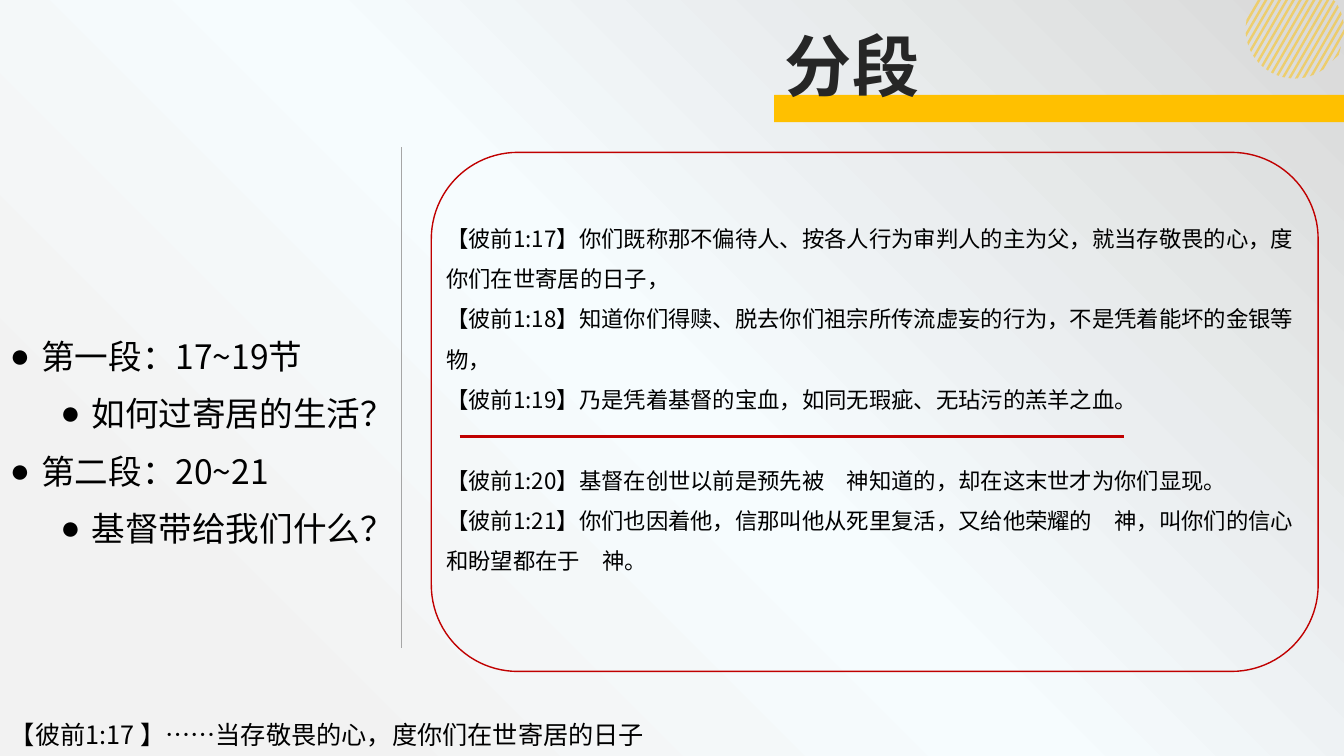
from dataclasses import dataclass
from math import sqrt

from lxml.etree import SubElement
from pptx import Presentation
from pptx.dml.color import RGBColor
from pptx.enum.shapes import MSO_CONNECTOR as Link, MSO_SHAPE as Preset
from pptx.enum.text import MSO_ANCHOR as Anchor
from pptx.oxml import parse_xml
from pptx.oxml.ns import nsdecls, qn
from pptx.util import Cm, Pt

AMBER = RGBColor(0xFF, 0xC0, 0x00)
RED = RGBColor(0xC0, 0x00, 0x00)
GREY = RGBColor(0xA6, 0xA6, 0xA6)
CHARCOAL = RGBColor(0x26, 0x26, 0x26)
BLACK = RGBColor(0x00, 0x00, 0x00)
CHINESE_FONT = "Noto Sans CJK SC"
SLIDE_WIDTH, SLIDE_HEIGHT = 33.87, 19.05


@dataclass
class Line:
    text: str
    level: int = 0
    before: float = 0


@dataclass
class TextBlock:
    left: float
    top: float
    width: float
    height: float
    size: float
    lines: list[Line]
    font: str = CHINESE_FONT
    color: RGBColor = BLACK
    bold: bool = False
    spacing: float = 1.0
    after: float = 0
    bulleted: bool = False
    anchor: Anchor = Anchor.TOP


@dataclass
class Rule:
    start: tuple[float, float]
    end: tuple[float, float]
    color: RGBColor
    weight: float


# Wording
BLOCKS = [
    TextBlock(19.53, 0.48, 5.23, 2.31, 48, [Line("分段")],
              font="Arial", color=CHARCOAL, bold=True),
    TextBlock(0, 8.18, 11.3, 5.77, 24, [
        Line("第一段：17~19节"),
        Line("如何过寄居的生活？", level=1),
        Line("第二段：20~21"),
        Line("基督带给我们什么？", level=1),
    ], spacing=1.15, after=8, bulleted=True),
    TextBlock(11, 5.05, 22.1, 9.7, 16, [
        Line("【彼前1:17】你们既称那不偏待人、按各人行为审判人的主为父，就当存敬畏的心，度你们在世寄居的日子，"),
        Line("【彼前1:18】知道你们得赎、脱去你们祖宗所传流虚妄的行为，不是凭着能坏的金银等物，"),
        Line("【彼前1:19】乃是凭着基督的宝血，如同无瑕疵、无玷污的羔羊之血。"),
        Line("【彼前1:20】基督在创世以前是预先被　神知道的，却在这末世才为你们显现。", before=28.8),
        Line("【彼前1:21】你们也因着他，信那叫他从死里复活，又给他荣耀的　神，叫你们的信心和盼望都在于　神。"),
    ], spacing=1.5, anchor=Anchor.MIDDLE),
    TextBlock(0, 18.01, 33.63, 1.02, 18,
              [Line("【彼前1:17 】……当存敬畏的心，度你们在世寄居的日子")]),
]
RULES = [
    Rule((10.11, 3.71), (10.11, 16.33), GREY, 0.5),
    Rule((11.58, 11), (28.32, 11), RED, 1.5),
]

# Striped disc: slanted bands cut by a circle and by the top edge
DISC_X, DISC_Y, DISC_RADIUS = 32.63, 0.74, 1.24
STRIPE_COUNT, STRIPE_START, STRIPE_PITCH, STRIPE_WIDTH = 17, 31.7, 0.173, 0.07


def paint_background(page) -> None:
    page.background.fill.gradient()
    old = page.element.find(".//" + qn("a:gradFill"))
    new = parse_xml(
        f'<a:gradFill {nsdecls("a")} rotWithShape="1"><a:gsLst>'
        '<a:gs pos="15000"><a:srgbClr val="F2F2F2"/></a:gs>'
        '<a:gs pos="50000"><a:srgbClr val="F6FCFE"><a:alpha val="27000"/></a:srgbClr></a:gs>'
        '<a:gs pos="100000"><a:srgbClr val="D9D9D9"/></a:gs></a:gsLst>'
        '<a:path path="circle"><a:fillToRect t="100000" r="100000"/></a:path></a:gradFill>')
    old.getparent().replace(old, new)


def chord(edge: float) -> tuple[tuple[float, float], tuple[float, float]]:
    """Ends of the 60-degree line that meets the top edge at the given x."""
    cosine, sine = 0.5, sqrt(3) / 2
    distance = (edge - DISC_X) * sine - DISC_Y * cosine
    half = sqrt(max(DISC_RADIUS ** 2 - distance ** 2, 0))
    foot_x, foot_y = DISC_X + distance * sine, DISC_Y + distance * cosine
    upper = (foot_x + half * cosine, foot_y - half * sine)
    lower = (foot_x - half * cosine, foot_y + half * sine)
    return (upper if upper[1] > 0 else (edge, 0)), lower


def add_stripes(page) -> None:
    for index in range(STRIPE_COUNT):
        edge = STRIPE_START + index * STRIPE_PITCH
        left_top, left_bottom = chord(edge)
        right_top, right_bottom = chord(edge + STRIPE_WIDTH)
        corners = [(Cm(x), Cm(y)) for x, y in
                   (left_top, right_top, right_bottom, left_bottom)]
        builder = page.shapes.build_freeform(*corners[0])
        builder.add_line_segments(corners[1:])
        stripe = builder.convert_to_shape()
        stripe.shadow.inherit = False
        stripe.line.fill.background()
        stripe.fill.solid()
        stripe.fill.fore_color.rgb = AMBER
        color = stripe.element.spPr.find(".//" + qn("a:srgbClr"))
        SubElement(color, qn("a:alpha"), val="50000")


def add_panel(page, preset: Preset, left: float, top: float, width: float, height: float):
    panel = page.shapes.add_shape(preset, Cm(left), Cm(top), Cm(width), Cm(height))
    panel.shadow.inherit = False
    return panel


def add_bullet(paragraph, level: int) -> None:
    paragraph.level = level
    properties = paragraph._p.get_or_add_pPr()
    properties.set("marL", str(Cm(0.79 + 1.27 * level)))
    properties.set("indent", str(-Cm(0.79)))
    SubElement(properties, qn("a:buFont"), typeface="Arial")
    SubElement(properties, qn("a:buChar"), char="●")


def add_text(page, block: TextBlock) -> None:
    box = page.shapes.add_textbox(Cm(block.left), Cm(block.top),
                                  Cm(block.width), Cm(block.height))
    frame = box.text_frame
    frame.word_wrap = True
    frame.vertical_anchor = block.anchor
    frame.text = "\n".join(line.text for line in block.lines)
    for paragraph, line in zip(frame.paragraphs, block.lines):
        if block.bulleted:
            add_bullet(paragraph, line.level)
        paragraph.line_spacing = block.spacing
        paragraph.space_before = Pt(line.before)
        paragraph.space_after = Pt(block.after)
        for span in paragraph.runs:
            span.font.size = Pt(block.size)
            span.font.bold = block.bold
            span.font.color.rgb = block.color
            span.font.name = block.font
            SubElement(span.font._element, qn("a:ea"), typeface=CHINESE_FONT)


def add_rule(page, rule: Rule) -> None:
    line = page.shapes.add_connector(Link.STRAIGHT, *map(Cm, rule.start + rule.end))
    line.line.color.rgb = rule.color
    line.line.width = Pt(rule.weight)
    SubElement(line.element.spPr, qn("a:effectLst"))


def main() -> None:
    deck = Presentation()
    deck.slide_width, deck.slide_height = Cm(SLIDE_WIDTH), Cm(SLIDE_HEIGHT)
    page = deck.slides.add_slide(deck.slide_layouts[6])
    paint_background(page)
    add_stripes(page)

    # Bar under the title
    bar = add_panel(page, Preset.RECTANGLE, 19.51, 2.39, 14.36, 0.69)
    bar.fill.solid()
    bar.fill.fore_color.rgb = AMBER
    bar.line.fill.background()

    # Frame around the verses
    verse_frame = add_panel(page, Preset.ROUNDED_RECTANGLE, 10.87, 3.84, 22.35, 13.08)
    verse_frame.fill.background()
    verse_frame.line.color.rgb = RED
    verse_frame.line.width = Pt(1)

    # Text and dividing lines
    for block in BLOCKS:
        add_text(page, block)
    for rule in RULES:
        add_rule(page, rule)
    deck.save("out.pptx")


if __name__ == "__main__":
    main()
